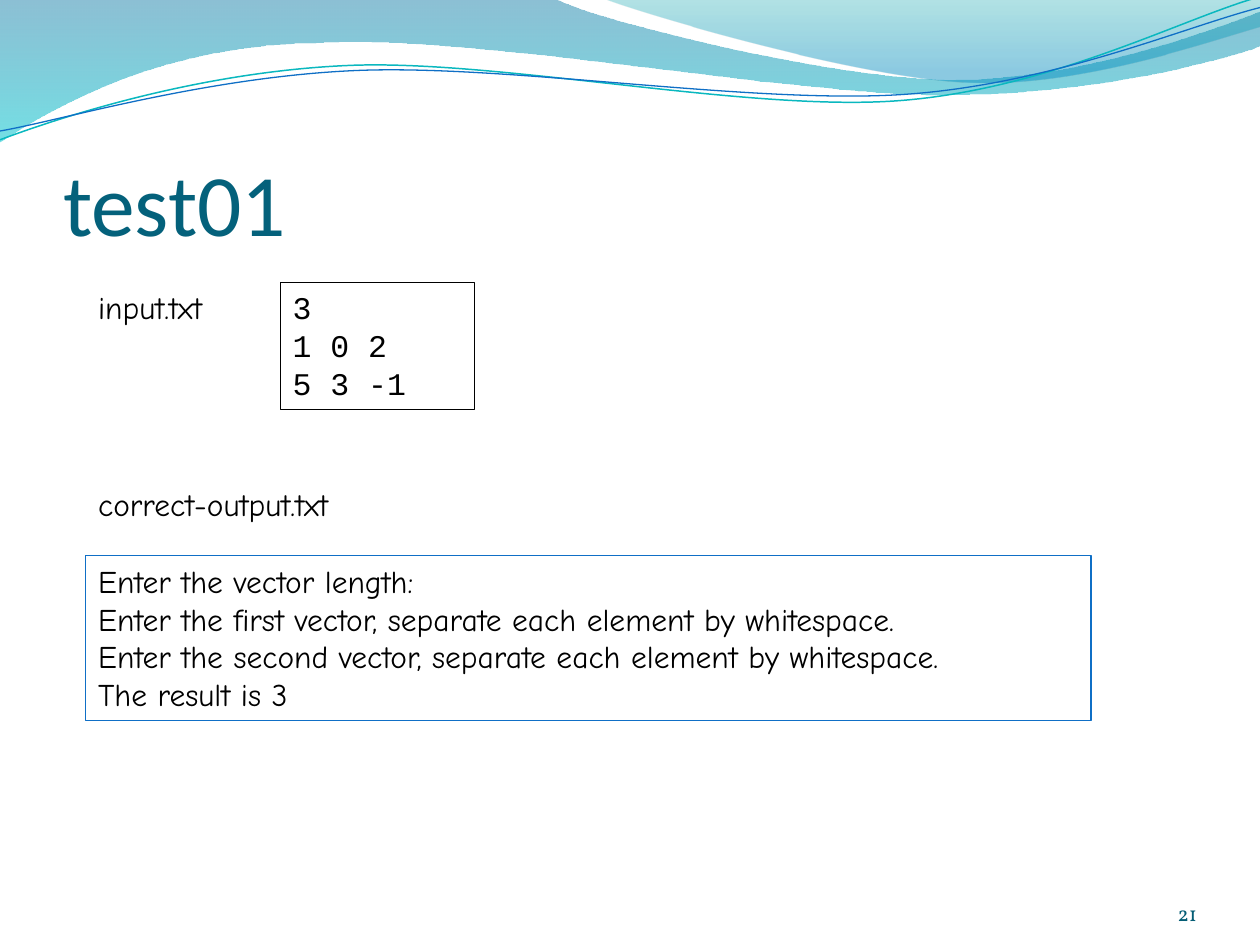
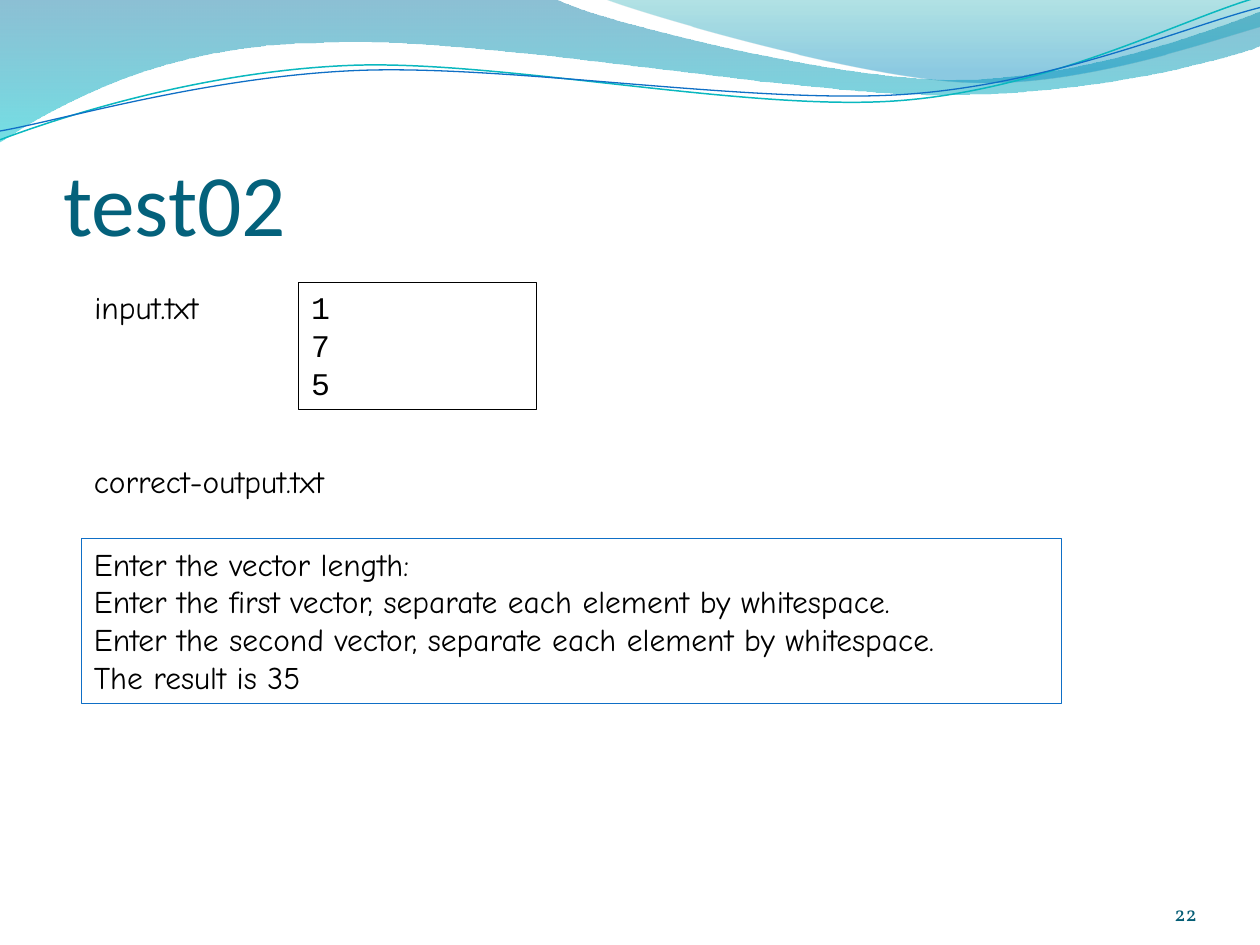
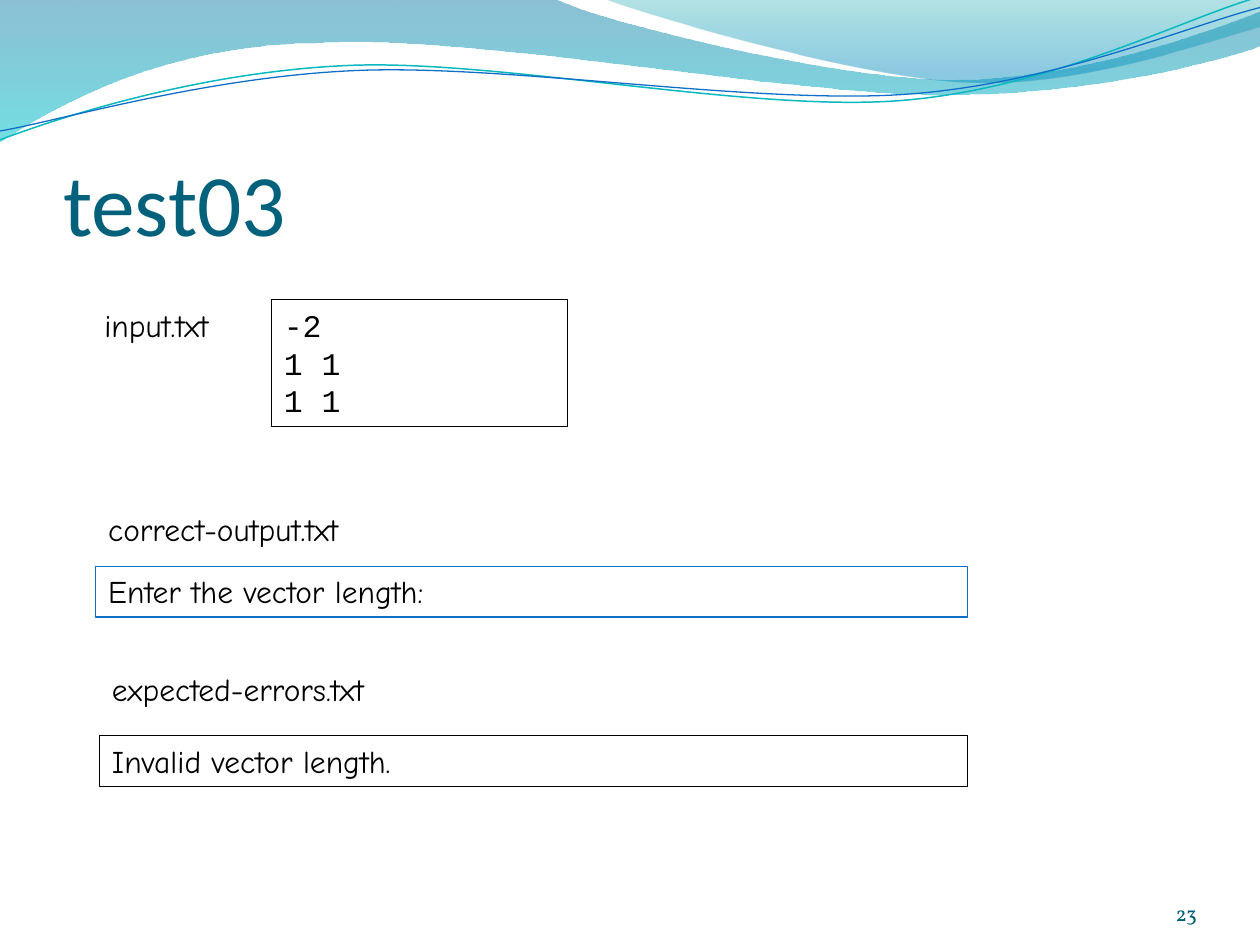
from dataclasses import dataclass
from typing import NamedTuple

from lxml import etree
from pptx import Presentation
from pptx.dml.color import RGBColor
from pptx.enum.shapes import MSO_SHAPE
from pptx.enum.text import MSO_ANCHOR, PP_ALIGN
from pptx.oxml.ns import qn
from pptx.util import Inches, Pt

RECTANGLE = MSO_SHAPE.RECTANGLE
TOP, BOTTOM = MSO_ANCHOR.TOP, MSO_ANCHOR.BOTTOM
LEFT, RIGHT = PP_ALIGN.LEFT, PP_ALIGN.RIGHT

SLIDE_WIDTH, SLIDE_HEIGHT = Inches(10), Inches(7.5)
COLUMNS, ROWS = 100, 75
LINE_ROWS = 3.03
PADDING = 0.5
LABEL_ROWS = LINE_ROWS + 2 * PADDING
FIRST_PAGE_NUMBER = 21

BLACK = "000000"
BLUE = "0F6FC6"
TEAL = "0AB8BF"
TITLE_COLOR = "04617B"
NUMBER_COLOR = "045D75"


class Area(NamedTuple):
    left: float
    top: float
    width: float
    height: float


class Stop(NamedTuple):
    position: float
    color: str
    opacity: int


@dataclass(frozen=True)
class Wave:
    start: tuple[float, float]
    legs: tuple[tuple[float, ...], ...]
    gradient: tuple[Stop, ...] = ()
    line_color: str = ""
    line_width: float = 0


@dataclass(frozen=True)
class TextStyle:
    font: str
    size: float
    color: str = BLACK
    align: PP_ALIGN = LEFT
    anchor: MSO_ANCHOR = TOP
    margins: tuple[float, float, float, float] = (1, PADDING, 1, PADDING)
    line_spacing: float | None = None


@dataclass(frozen=True)
class FilePanel:
    name: str
    label_left: float
    label_top: float
    left: float
    top: float
    width: float
    lines: tuple[str, ...]
    style: TextStyle
    outline: str = BLACK


@dataclass(frozen=True)
class TestCase:
    title: str
    panels: tuple[FilePanel, ...]


TITLE = TextStyle("Calibri", 50, TITLE_COLOR, anchor=BOTTOM, margins=(0, PADDING, 0, 0))
NUMBER = TextStyle("Vollkorn", 12, NUMBER_COLOR, RIGHT, BOTTOM, (0, 0, 0, 0))
PROSE = TextStyle("Comic Neue", 18, line_spacing=21.6)
CODE = TextStyle("Courier New", 18, line_spacing=21.6)

TITLE_AREA = Area(5, 7.67, 90.8, 12.5)
NUMBER_AREA = Area(86.7, 69.5, 8.3, 4)

INPUT = "input.txt"
OUTPUT = "correct-output.txt"
ERRORS = "expected-errors.txt"
LABEL_COLUMNS = {INPUT: 12.4, OUTPUT: 24.2, ERRORS: 26.1}

LENGTH_PROMPT = "Enter the vector length:"
PROMPTS = (LENGTH_PROMPT,) + tuple(
    f"Enter the {order} vector, separate each element by whitespace."
    for order in ("first", "second")
)

WAVES = (
    Wave(
        (0, -0.1),
        (
            (44, -0.1),
            (47.6, 1.7, 66.4, 6.3, 75.8, 6.3),
            (85.3, 6.3, 95.8, 2.6, 100, 0.9),
            (100.1, 3.6),
            (98.3, 4.4, 87, 7.6, 74.6, 7.5),
            (62.2, 7.5, 38.2, 2.8, 25.7, 3.4),
            (12.9, 3.5, 4.6, 8.3, -0.1, 11.3),
        ),
        gradient=(Stop(0, "0074A1", 45), Stop(1, "00C6CF", 55)),
    ),
    Wave(
        (47.9, -0.1),
        (
            (50.9, 1.1, 68.2, 6.2, 76.9, 6.5),
            (85.6, 6.9, 96.1, 3.2, 100, 2.1),
            (100, 0),
        ),
        gradient=(Stop(0, "00A1A9", 30), Stop(0.8, "008BBF", 45)),
    ),
    Wave(
        (0, 11.1),
        (
            (4.8, 9.3, 15.8, 5.7, 27.7, 5.2),
            (39.5, 4.7, 59.3, 8.9, 71.3, 8),
            (83.3, 7.1, 93.8, 1.5, 99.8, -0.2),
        ),
        line_color=TEAL,
        line_width=0.85,
    ),
    Wave(
        (0, 10.4),
        (
            (4.7, 9.6, 16.4, 6.1, 28.3, 5.6),
            (40.3, 5.1, 59.7, 8.3, 71.7, 7.5),
            (83.6, 6.7, 94.1, 2.1, 100, 0.6),
        ),
        line_color=BLUE,
        line_width=0.75,
    ),
)

TEST_CASES = (
    TestCase("test01", (
        FilePanel(INPUT, 6.8, 22.4, 22.24, 22.4, 15.4, ("3", "1 0 2", "5 3 -1"), CODE),
        FilePanel(OUTPUT, 6.8, 38, 6.8, 44.1, 79.8,
                  PROMPTS + ("The result is 3",), PROSE, BLUE),
    )),
    TestCase("test02", (
        FilePanel(INPUT, 6.5, 22.4, 23.7, 22.4, 18.9, ("1", "7", "5"), CODE),
        FilePanel(OUTPUT, 6.46, 36.2, 6.46, 42.74, 77.8,
                  PROMPTS + ("The result is 35",), PROSE, BLUE),
    )),
    TestCase("test03", (
        FilePanel(INPUT, 7.3, 23.8, 21.54, 23.77, 23.5, ("-2", "1 1", "1 1"), CODE),
        FilePanel(OUTPUT, 7.6, 40, 7.6, 44.94, 69.2, (LENGTH_PROMPT,), PROSE, BLUE),
        FilePanel(ERRORS, 7.9, 52.7, 7.9, 58.4, 68.9,
                  ("Invalid vector length.",), PROSE),
    )),
)


def rgb(color: str) -> RGBColor:
    return RGBColor.from_string(color)


def across(columns: float) -> int:
    return round(SLIDE_WIDTH * columns / COLUMNS)


def down(rows: float) -> int:
    return round(SLIDE_HEIGHT * rows / ROWS)


def place(area: Area) -> tuple[int, int, int, int]:
    return across(area.left), down(area.top), across(area.width), down(area.height)


def leg_points(leg: tuple[float, ...]) -> list[tuple[int, int]]:
    return [(across(x), down(y)) for x, y in zip(leg[::2], leg[1::2])]


def bend_legs(shape, legs: tuple[tuple[float, ...], ...]) -> None:
    segments = iter(list(shape.element.iter(qn("a:lnTo"))))
    for leg in legs:
        first, *others = [next(segments) for _ in range(len(leg) // 2)]
        if others:
            first.tag = qn("a:cubicBezTo")
        for segment in others:
            first.append(segment[0])
            segment.getparent().remove(segment)


def fill_gradient(shape, stops: tuple[Stop, ...]) -> None:
    shape.fill.gradient()
    shape.fill.gradient_angle = 270
    for target, stop in zip(shape.fill.gradient_stops, stops):
        target.position = stop.position
        target.color.rgb = rgb(stop.color)
    colors = shape.element.spPr.iter(qn("a:srgbClr"))
    for color, stop in zip(list(colors), stops):
        etree.SubElement(color, qn("a:alpha"), val=str(stop.opacity * 1000))


def set_line(shape, color: str, width: float) -> None:
    shape.line.color.rgb = rgb(color)
    shape.line.width = Pt(width)


def draw_wave(page, wave: Wave) -> None:
    builder = page.shapes.build_freeform(*leg_points(wave.start)[0])
    points = [point for leg in wave.legs for point in leg_points(leg)]
    builder.add_line_segments(points, close=bool(wave.gradient))
    shape = builder.convert_to_shape()
    bend_legs(shape, wave.legs)
    shape.shadow.inherit = False
    if wave.gradient:
        fill_gradient(shape, wave.gradient)
        shape.line.fill.background()
    else:
        shape.fill.background()
        set_line(shape, wave.line_color, wave.line_width)


def write(box, lines: tuple[str, ...], style: TextStyle, wrap: bool = True) -> None:
    frame = box.text_frame
    frame.word_wrap = wrap
    frame.vertical_anchor = style.anchor
    left, top, right, bottom = style.margins
    frame.margin_left, frame.margin_right = across(left), across(right)
    frame.margin_top, frame.margin_bottom = down(top), down(bottom)
    frame.text = "\n".join(lines)
    for para in frame.paragraphs:
        para.alignment = style.align
        if style.line_spacing:
            para.line_spacing = Pt(style.line_spacing)
        para.font.name = style.font
        para.font.size = Pt(style.size)
        para.font.color.rgb = rgb(style.color)


def draw_text(page, area: Area, text: str, style: TextStyle, wrap: bool = True) -> None:
    write(page.shapes.add_textbox(*place(area)), (text,), style, wrap)


def draw_panel(page, panel: FilePanel) -> None:
    height = LINE_ROWS * len(panel.lines) + 2 * PADDING
    area = Area(panel.left, panel.top, panel.width, height)
    box = page.shapes.add_shape(RECTANGLE, *place(area))
    box.shadow.inherit = False
    box.fill.background()
    set_line(box, panel.outline, 0.75)
    write(box, panel.lines, panel.style)
    label_area = Area(panel.label_left, panel.label_top,
                      LABEL_COLUMNS[panel.name], LABEL_ROWS)
    draw_text(page, label_area, panel.name, PROSE, wrap=False)


def draw_page(deck, case: TestCase, number: int) -> None:
    page = deck.slides.add_slide(deck.slide_layouts[6])
    for wave in WAVES:
        draw_wave(page, wave)
    draw_text(page, TITLE_AREA, case.title, TITLE)
    draw_text(page, NUMBER_AREA, str(number), NUMBER)
    for panel in case.panels:
        draw_panel(page, panel)


def main() -> None:
    deck = Presentation()
    deck.slide_width, deck.slide_height = SLIDE_WIDTH, SLIDE_HEIGHT
    for number, case in enumerate(TEST_CASES, FIRST_PAGE_NUMBER):
        draw_page(deck, case, number)
    deck.save("out.pptx")


if __name__ == "__main__":
    main()
